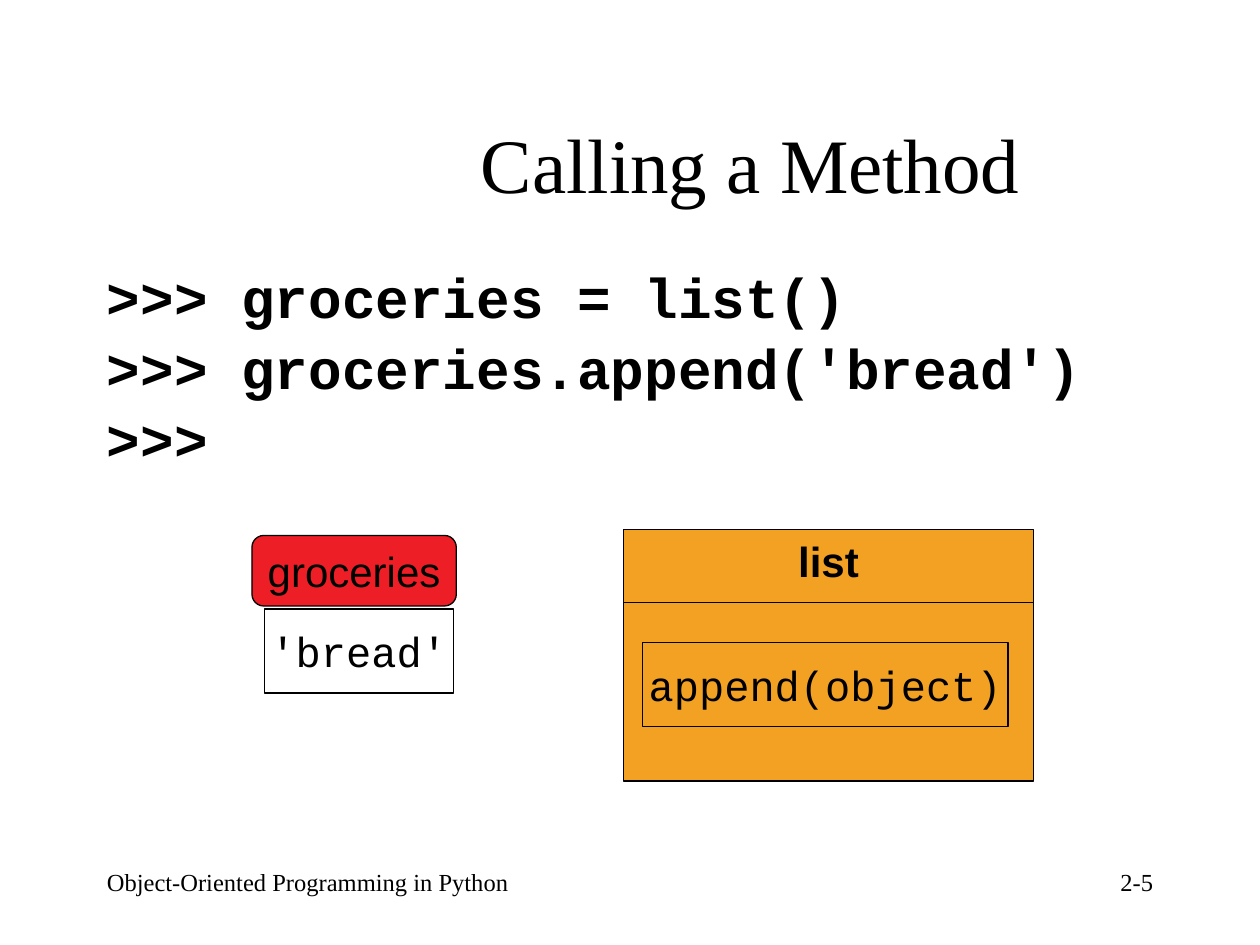
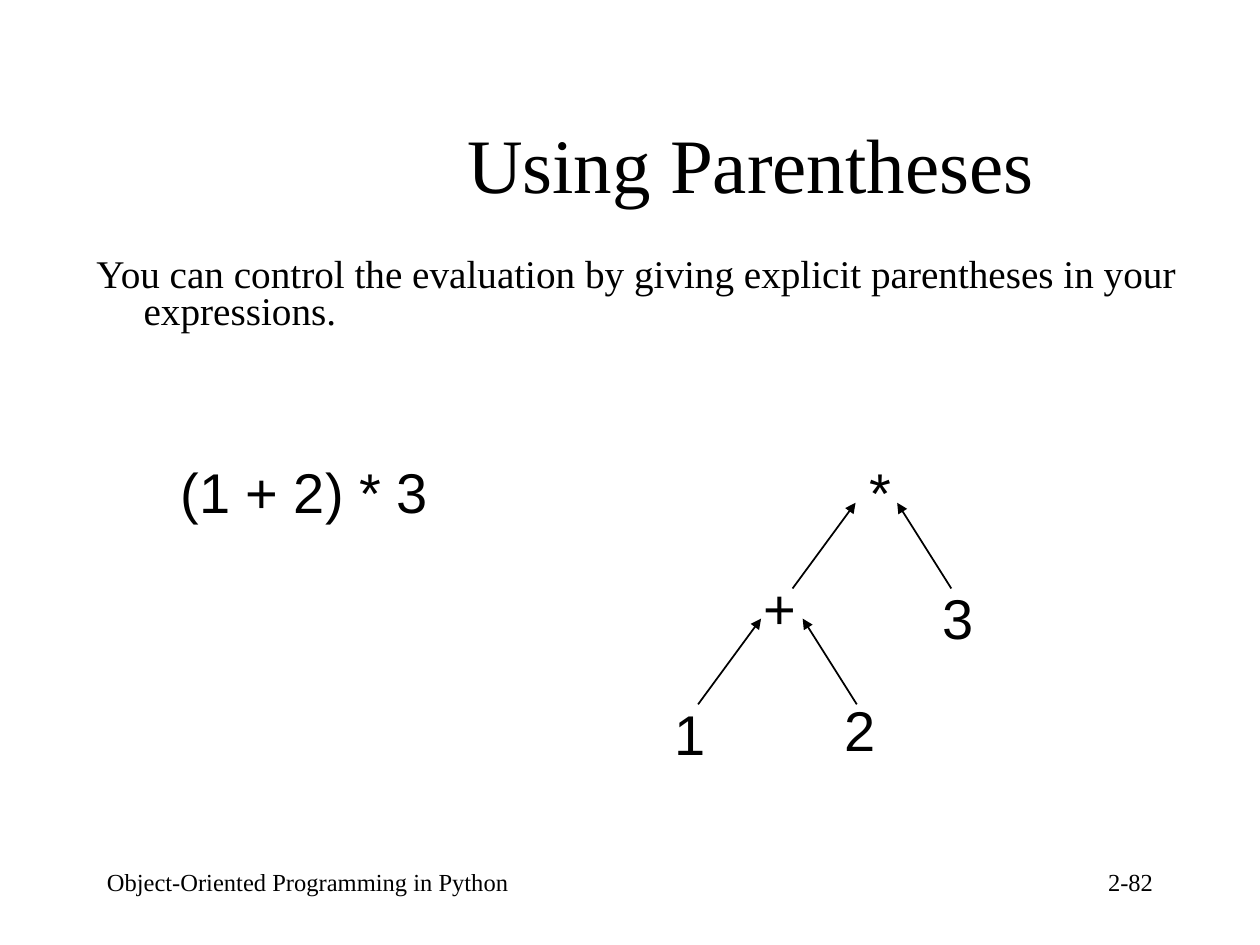
"""Two lesson slides on Python methods and on parentheses in expressions."""
from lxml.etree import SubElement
from pptx import Presentation
from pptx.dml.color import RGBColor
from pptx.enum.shapes import MSO_CONNECTOR, MSO_SHAPE
from pptx.enum.text import MSO_ANCHOR, PP_ALIGN
from pptx.oxml.ns import qn
from pptx.util import Pt

BLACK, WHITE, RED, ORANGE = "000000", "FFFFFF", "EE1E26", "F3A123"
SERIF, SANS, MONO = "Times New Roman", "Arial", "Courier New"
LEFT, CENTER, RIGHT = PP_ALIGN.LEFT, PP_ALIGN.CENTER, PP_ALIGN.RIGHT
TOP, MIDDLE = MSO_ANCHOR.TOP, MSO_ANCHOR.MIDDLE


def add_text(page, text, place, font, size, align=LEFT, anchor=TOP, wrap=False,
             bold=False, kind=None, fill=None):
    place = [Pt(length) for length in place]
    if kind is None:
        box = page.shapes.add_textbox(*place)
    else:
        box = page.shapes.add_shape(kind, *place)
        box.shadow.inherit = False
        box.line.color.rgb = RGBColor.from_string(BLACK)
        box.line.width = Pt(0.75)
        if fill:
            box.fill.solid()
            box.fill.fore_color.rgb = RGBColor.from_string(fill)
        else:
            box.fill.background()
    frame = box.text_frame
    frame.text = text
    frame.word_wrap = wrap
    frame.vertical_anchor = anchor
    for para in frame.paragraphs:
        para.alignment = align
        for span in para.runs:
            span.font.name = font
            span.font.size = Pt(size)
            span.font.bold = bold
            span.font.color.rgb = RGBColor.from_string(BLACK)
    return box


def add_line(page, start, end, width, arrow=False):
    line = page.shapes.add_connector(
        MSO_CONNECTOR.STRAIGHT, *[Pt(length) for length in (*start, *end)])
    line.line.color.rgb = RGBColor.from_string(BLACK)
    line.line.width = Pt(width)
    if arrow:
        SubElement(line.line._get_or_add_ln(), qn("a:tailEnd"), type="triangle")
    SubElement(line._element.spPr, qn("a:effectLst"))


deck = Presentation()
deck.slide_width, deck.slide_height = Pt(720), Pt(540)

pages = []
for title, number in (("Calling a Method", "2-5"), ("Using Parentheses", "2-82")):
    page = deck.slides.add_slide(deck.slide_layouts[6])
    page.background.fill.solid()
    page.background.fill.fore_color.rgb = RGBColor.from_string(WHITE)
    add_text(page, "Object-Oriented Programming in Python", (54, 492, 420, 36),
             SERIF, 14, wrap=True)
    add_text(page, number, (516, 492, 150, 36), SERIF, 14, RIGHT, wrap=True)
    add_text(page, title, (192, 48, 474, 90), SERIF, 44, CENTER, MIDDLE, True)
    pages.append(page)
method_page, tree_page = pages

code = add_text(method_page,
                ">>> groceries = list()\n>>> groceries.append('bread')\n>>>",
                (54, 144, 572, 122.4), MONO, 32, bold=True)
for para in code.text_frame.paragraphs:
    para.line_spacing = 1.06

add_text(method_page, "list", (356.4, 302.4, 234, 144), SANS, 24, CENTER,
         bold=True, kind=MSO_SHAPE.RECTANGLE, fill=ORANGE)
add_line(method_page, (356.4, 344.4), (590.4, 344.4), 0.75)
for text, place, font, kind, fill in (
    ("groceries", (144, 306, 116.8, 40.3), SANS, MSO_SHAPE.ROUNDED_RECTANGLE, RED),
    ("'bread'", (151, 348, 108, 48), MONO, MSO_SHAPE.RECTANGLE, WHITE),
    ("append(object)", (367, 367, 209, 48), MONO, MSO_SHAPE.RECTANGLE, None),
):
    add_text(method_page, text, place, font, 24, CENTER, MIDDLE, kind=kind, fill=fill)

add_text(tree_page, "(1 + 2) * 3", (96, 258, 198, 60), SANS, 32, wrap=True)
advice = add_text(
    tree_page,
    "You can control the evaluation by giving explicit parentheses in your expressions.",
    (48, 144, 654, 66), SERIF, 22.4, wrap=True)
para = advice.text_frame.paragraphs[0]
para.line_spacing = 0.8
properties = para._p.get_or_add_pPr()
properties.set("marL", str(Pt(27)))
properties.set("indent", str(-Pt(27)))

for x, y in ((488.9, 287.3), (434.9, 353.5)):
    add_line(tree_page, (x - 36, y + 49), (x, y), 1, arrow=True)
    add_line(tree_page, (x + 54.7, y + 49), (x + 23.8, y), 1, arrow=True)
for symbol, left, top, width in (
    ("*", 489.6, 258, 26.6),
    ("+", 429, 324, 33),
    ("3", 531.4, 330, 32.4),
    ("1", 378, 396, 32.4),
    ("2", 475.2, 394, 32.4),
):
    add_text(tree_page, symbol, (left, top, width, 46), SANS, 32, CENTER)

deck.save("out.pptx")
